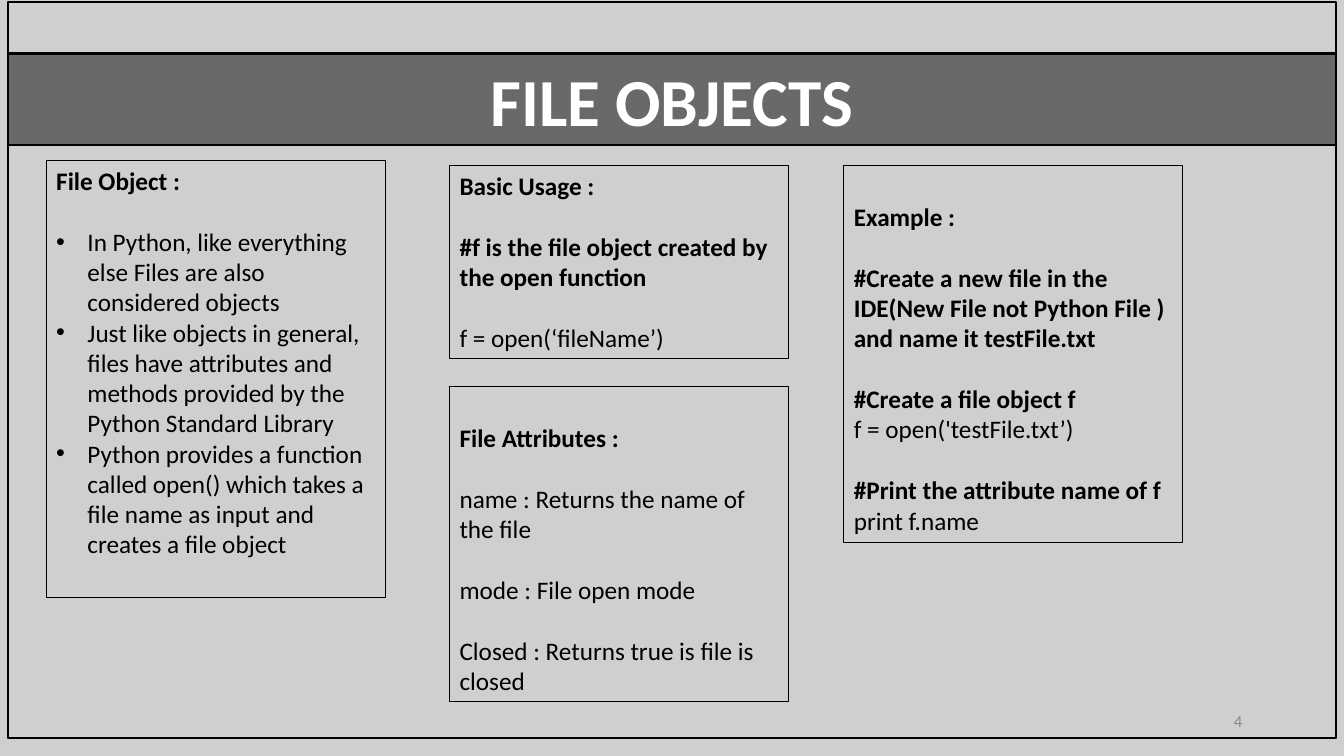
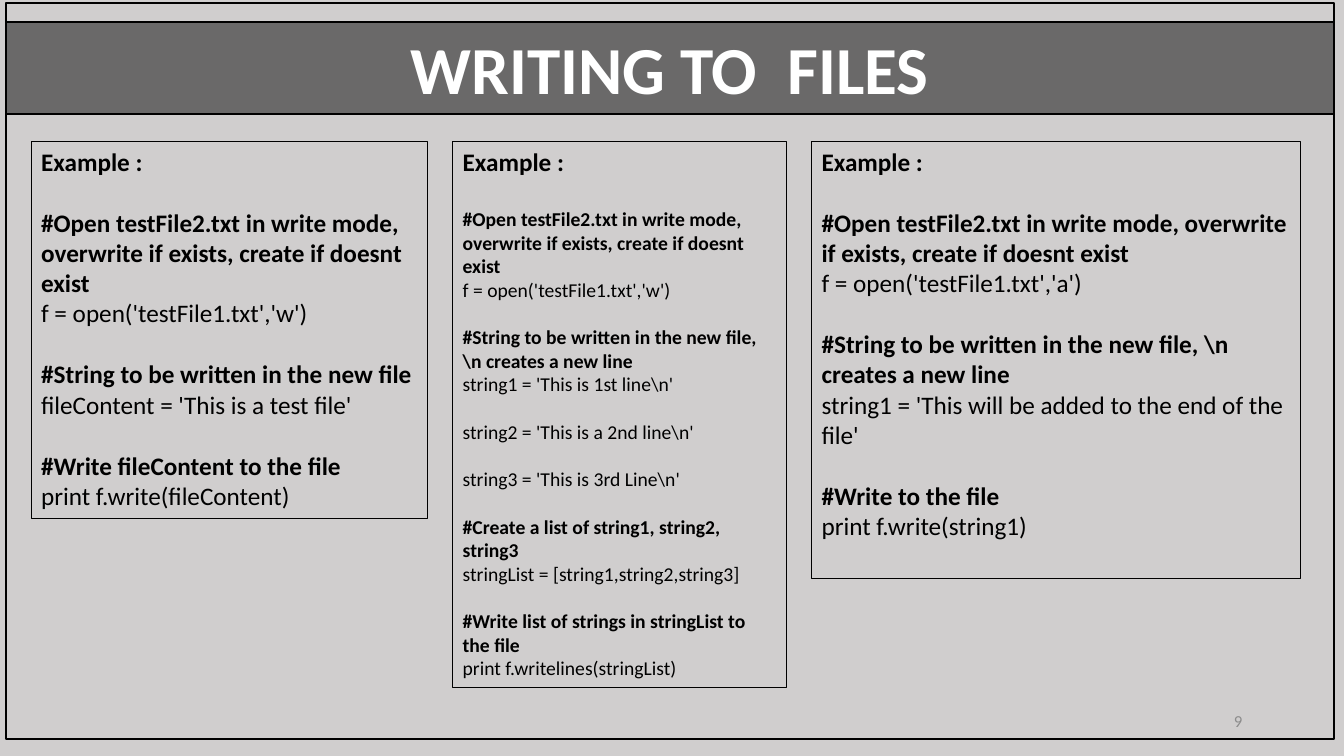
"""Build two slides on Python file objects and writing to files."""
from dataclasses import dataclass
from typing import Any, NamedTuple

from lxml import etree
from pptx import Presentation
from pptx.dml.color import RGBColor
from pptx.enum.shapes import MSO_SHAPE
from pptx.enum.text import MSO_ANCHOR, MSO_AUTO_SIZE, PP_ALIGN
from pptx.oxml.ns import qn
from pptx.util import Inches, Pt

RECTANGLE = MSO_SHAPE.RECTANGLE
TOP, MIDDLE = MSO_ANCHOR.TOP, MSO_ANCHOR.MIDDLE
LEFT, CENTER, RIGHT = PP_ALIGN.LEFT, PP_ALIGN.CENTER, PP_ALIGN.RIGHT
NO_AUTOFIT = MSO_AUTO_SIZE.NONE

BLACK, WHITE, GRAY, BACKGROUND = "000000", "FFFFFF", "8C8C8C", "D0CECE"
FONT = "Calibri"
LINE_RATIO = 1.22
HEADING_SIZE = 18
TOP_INSET = 0.05
BULLET_INDENT = 0.31
BAND_OPACITY = 49
FRAME_WEIGHT, PANEL_WEIGHT = 1.75, 0.75
FRAME_SIZE = (13.17, 7.3)
BAND_HEIGHT = 0.91
NUMBER_BOX = (9.42, 6.95, 3, 0.4)


class Box(NamedTuple):
    left: float
    top: float
    width: float
    height: float


class Line(NamedTuple):
    text: str
    bold: bool = False
    gap: bool = False
    bullet: bool = False


@dataclass
class Panel:
    box: Box
    heading: str
    lines: list[Line]
    size: int = HEADING_SIZE
    lead: bool = False


@dataclass
class Page:
    title: str
    number: str
    frame_left: float
    frame_top: float
    band_top: float
    panels: list[Panel]


def color(value: str) -> RGBColor:
    """Turn a hex string into a colour."""
    return RGBColor.from_string(value)


def apply(target: Any, values: dict[str, Any]) -> None:
    """Set every attribute named in the format values."""
    for name, value in values.items():
        setattr(target, name, value)


def place(box: Box) -> tuple:
    """Convert a box to lengths."""
    return tuple(Inches(length) for length in box)


def add_rectangle(page: Any, box: Box, weight: float) -> Any:
    """Add an unfilled rectangle with a black outline."""
    shape = page.shapes.add_shape(RECTANGLE, *place(box))
    shape.shadow.inherit = False
    shape.fill.background()
    shape.line.color.rgb = color(BLACK)
    shape.line.width = Pt(weight)
    return shape


def write(para: Any, text: str, size: int, ink: str, bold: bool = False,
          **layout: Any) -> None:
    """Write one formatted span into a paragraph."""
    span = para.add_run()
    span.text = text
    apply(span.font, {"name": FONT, "size": Pt(size), "bold": bold})
    span.font.color.rgb = color(ink)
    apply(para, layout)


def add_bullet(para: Any) -> None:
    """Give a paragraph a hanging bullet."""
    properties = para._p.get_or_add_pPr()
    indent = Inches(BULLET_INDENT)
    properties.set("marL", str(indent))
    properties.set("indent", str(-indent))
    etree.SubElement(properties, qn("a:buFont")).set("typeface", "Arial")
    etree.SubElement(properties, qn("a:buChar")).set("char", "•")


def add_band(page: Any, box: Box, title: str) -> None:
    """Add the translucent title band."""
    band = add_rectangle(page, box, FRAME_WEIGHT)
    band.fill.solid()
    band.fill.fore_color.rgb = color(BLACK)
    tone = band._element.spPr.find(qn("a:solidFill"))[0]
    etree.SubElement(tone, qn("a:alpha")).set("val", str(BAND_OPACITY * 1000))
    apply(band.text_frame, {"word_wrap": True, "vertical_anchor": MIDDLE})
    write(band.text_frame.paragraphs[0], title, 48, WHITE, True, alignment=CENTER)


def add_panel(page: Any, panel: Panel) -> None:
    """Add an outlined panel with a heading and its lines."""
    frame = add_rectangle(page, panel.box, PANEL_WEIGHT).text_frame
    heading_gap = Pt(HEADING_SIZE * LINE_RATIO)
    inset = Inches(TOP_INSET) + (heading_gap if panel.lead else 0)
    apply(frame, {"word_wrap": True, "auto_size": NO_AUTOFIT,
                  "vertical_anchor": TOP, "margin_top": inset})
    write(frame.paragraphs[0], panel.heading, HEADING_SIZE, BLACK, True,
          alignment=LEFT, space_after=heading_gap)
    for line in panel.lines:
        para = frame.add_paragraph()
        gap = Pt(panel.size * LINE_RATIO) if line.gap else Pt(0)
        write(para, line.text, panel.size, BLACK, line.bold,
              alignment=LEFT, space_before=gap)
        if line.bullet:
            add_bullet(para)


def add_number(page: Any, number: str) -> None:
    """Add the page number at the lower right."""
    frame = page.shapes.add_textbox(*place(Box(*NUMBER_BOX))).text_frame
    apply(frame, {"word_wrap": True, "vertical_anchor": MIDDLE})
    write(frame.paragraphs[0], number, 12, GRAY, alignment=RIGHT)


def add_page(deck: Any, content: Page) -> None:
    """Add one slide with its frame, band, panels and number."""
    page = deck.slides.add_slide(deck.slide_layouts[6])
    left, width = content.frame_left, FRAME_SIZE[0]
    add_rectangle(page, Box(left, content.frame_top, *FRAME_SIZE), FRAME_WEIGHT)
    add_band(page, Box(left, content.band_top, width, BAND_HEIGHT), content.title)
    for panel in content.panels:
        add_panel(page, panel)
    add_number(page, content.number)


OPEN_NOTE = Line("#Open testFile2.txt in write mode, overwrite if exists, "
                 "create if doesnt exist", bold=True)
OPEN_WRITE = Line("f = open('testFile1.txt','w')")
STRING_NOTE = Line("#String to be written in the new file, \\n creates a new line",
                   bold=True, gap=True)

FILE_OBJECTS = Page("FILE OBJECTS", "4", 0.08, 0.02, 0.53, [
    Panel(Box(0.46, 1.59, 3.36, 4.34), "File Object :", [
        Line("In Python, like everything else Files are also considered objects",
             bullet=True),
        Line("Just like objects in general, files have attributes and methods "
             "provided by the Python Standard Library", bullet=True),
        Line("Python provides a function called open() which takes a file name "
             "as input and creates a file object", bullet=True),
    ]),
    Panel(Box(4.46, 1.64, 3.36, 1.92), "Basic Usage :", [
        Line("#f is the file object created by the open function", bold=True),
        Line("f = open(‘fileName’)", gap=True),
    ]),
    Panel(Box(4.46, 3.83, 3.36, 3.13), "File Attributes :", [
        Line("name : Returns the name of the file"),
        Line("mode : File open mode", gap=True),
        Line("Closed : Returns true is file is closed", gap=True),
    ], lead=True),
    Panel(Box(8.37, 1.64, 3.36, 3.74), "Example :", [
        Line("#Create a new file in the IDE(New File not Python File ) "
             "and name it testFile.txt", bold=True),
        Line("#Create a file object f", bold=True, gap=True),
        Line("f = open('testFile.txt’)"),
        Line("#Print the attribute name of f", bold=True, gap=True),
        Line("print f.name"),
    ], lead=True),
])

WRITING = Page("WRITING TO  FILES", "9", 0.06, 0.03, 0.22, [
    Panel(Box(0.31, 1.4, 3.93, 3.74), "Example :", [
        OPEN_NOTE,
        OPEN_WRITE,
        Line("#String to be written in the new file", bold=True, gap=True),
        Line("fileContent = 'This is a test file'"),
        Line("#Write fileContent to the file", bold=True, gap=True),
        Line("print f.write(fileContent)"),
    ]),
    Panel(Box(4.49, 1.4, 3.31, 5.42), "Example :", [
        OPEN_NOTE,
        OPEN_WRITE,
        STRING_NOTE,
        Line("string1 = 'This is 1st line\\n'"),
        Line("string2 = 'This is a 2nd line\\n'", gap=True),
        Line("string3 = 'This is 3rd Line\\n'", gap=True),
        Line("#Create a list of string1, string2, string3", bold=True, gap=True),
        Line("stringList = [string1,string2,string3]"),
        Line("#Write list of strings in stringList to the file", bold=True, gap=True),
        Line("print f.writelines(stringList)"),
    ], size=14),
    Panel(Box(8.05, 1.4, 4.85, 4.34), "Example :", [
        OPEN_NOTE,
        Line("f = open('testFile1.txt','a')"),
        STRING_NOTE,
        Line("string1 = 'This will be added to the end of the file'"),
        Line("#Write to the file", bold=True, gap=True),
        Line("print f.write(string1)"),
    ]),
])


def main() -> None:
    """Build and save the deck."""
    deck = Presentation()
    apply(deck, {"slide_width": Inches(13.33), "slide_height": Inches(7.5)})
    backdrop = deck.slide_master.background.fill
    backdrop.solid()
    backdrop.fore_color.rgb = color(BACKGROUND)
    for content in (FILE_OBJECTS, WRITING):
        add_page(deck, content)
    deck.save("out.pptx")


main()
